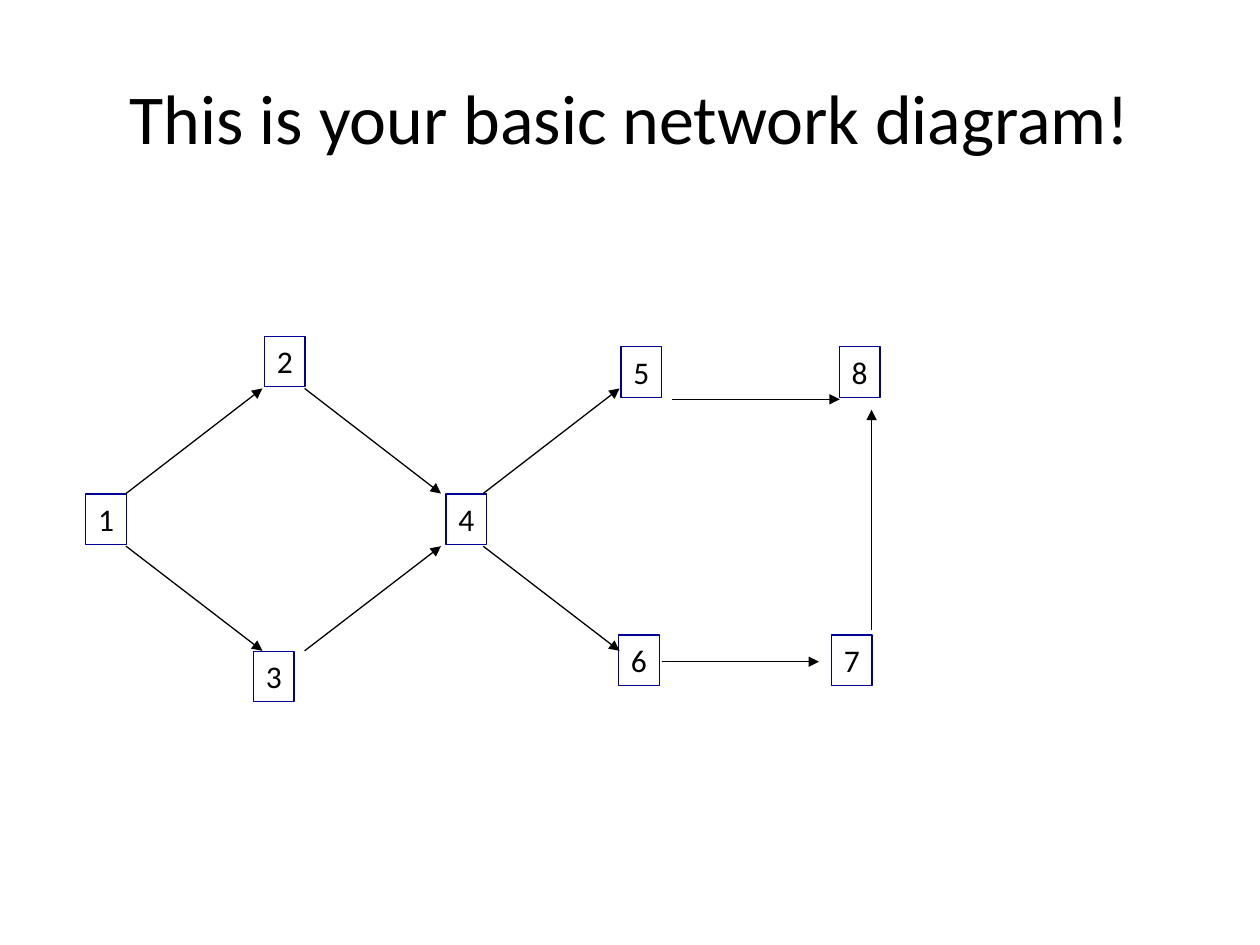
from pptx import Presentation
from pptx.dml.color import RGBColor
from pptx.enum.shapes import MSO_CONNECTOR, MSO_SHAPE
from pptx.enum.text import MSO_ANCHOR, MSO_AUTO_SIZE, PP_ALIGN
from pptx.oxml.ns import qn
from pptx.util import Cm, Pt
from lxml.etree import SubElement

HUES = {"ink": "000000", "edge": "000099"}
TOP, HIGH, LOW, BASE = 7.83, 9.95, 11.01, 13.12
NODES = {
    "1": (1.73, 9.96), "2": (5.33, 6.78), "3": (5.11, 13.13),
    "4": (8.99, 9.96), "5": (12.52, 6.99), "6": (12.47, 12.8),
    "7": (16.76, 12.8), "8": (16.92, 6.99),
}
LINKS = [
    (2.54, HIGH, 5.29, TOP), (2.54, LOW, 5.29, BASE),
    (6.14, TOP, 8.89, HIGH), (6.14, BASE, 8.89, LOW),
    (9.74, HIGH, 12.49, TOP), (9.74, LOW, 12.49, BASE),
    (13.34, 13.34, 16.51, 13.34), (13.55, 8.05, 16.93, 8.05),
    (17.57, 12.7, 17.57, 8.26),
]


class Pen:
    """Draw network parts on one slide in a shared style."""

    def __init__(self, slide, font="Calibri", width=0.75):
        self.slide, self.font, self.width = slide, font, width

    def hue(self, name):
        return RGBColor.from_string(HUES[name])

    def label(self, frame, text, size, align):
        frame.text = text
        para = frame.paragraphs[0]
        para.alignment = align
        for run in para.runs:
            run.font.name = self.font
            run.font.size = Pt(size)
            run.font.color.rgb = self.hue("ink")

    def stroke(self, line, name):
        line.color.rgb = self.hue(name)
        line.width = Pt(self.width)

    def title(self, text, *area):
        frame = self.slide.shapes.add_textbox(*map(Cm, area)).text_frame
        frame.word_wrap = True
        frame.vertical_anchor = MSO_ANCHOR.MIDDLE
        self.label(frame, text, 40, PP_ALIGN.CENTER)

    def node(self, text, left, top):
        box = self.slide.shapes.add_shape(
            MSO_SHAPE.RECTANGLE, Cm(left), Cm(top), Cm(0.82), Cm(1.02))
        box.shadow.inherit = False
        box.fill.background()
        self.stroke(box.line, "edge")
        frame = box.text_frame
        frame.word_wrap = False
        frame.auto_size = MSO_AUTO_SIZE.SHAPE_TO_FIT_TEXT
        frame.vertical_anchor = MSO_ANCHOR.TOP
        self.label(frame, text, 18, PP_ALIGN.LEFT)

    def arrow(self, *ends):
        link = self.slide.shapes.add_connector(
            MSO_CONNECTOR.STRAIGHT, *map(Cm, ends))
        self.stroke(link.line, "ink")
        props = link.element.spPr
        SubElement(props.find(qn("a:ln")), qn("a:tailEnd"), type="triangle")
        SubElement(props, qn("a:effectLst"))


def main():
    deck = Presentation()
    deck.slide_width, deck.slide_height = Cm(25.4), Cm(19.05)
    pen = Pen(deck.slides.add_slide(deck.slide_layouts[6]))
    pen.title("This is your basic network diagram!", 1.27, 0.76, 22.86, 3.18)
    for name, spot in NODES.items():
        pen.node(name, *spot)
    for ends in LINKS:
        pen.arrow(*ends)
    deck.save("out.pptx")


if __name__ == "__main__":
    main()
